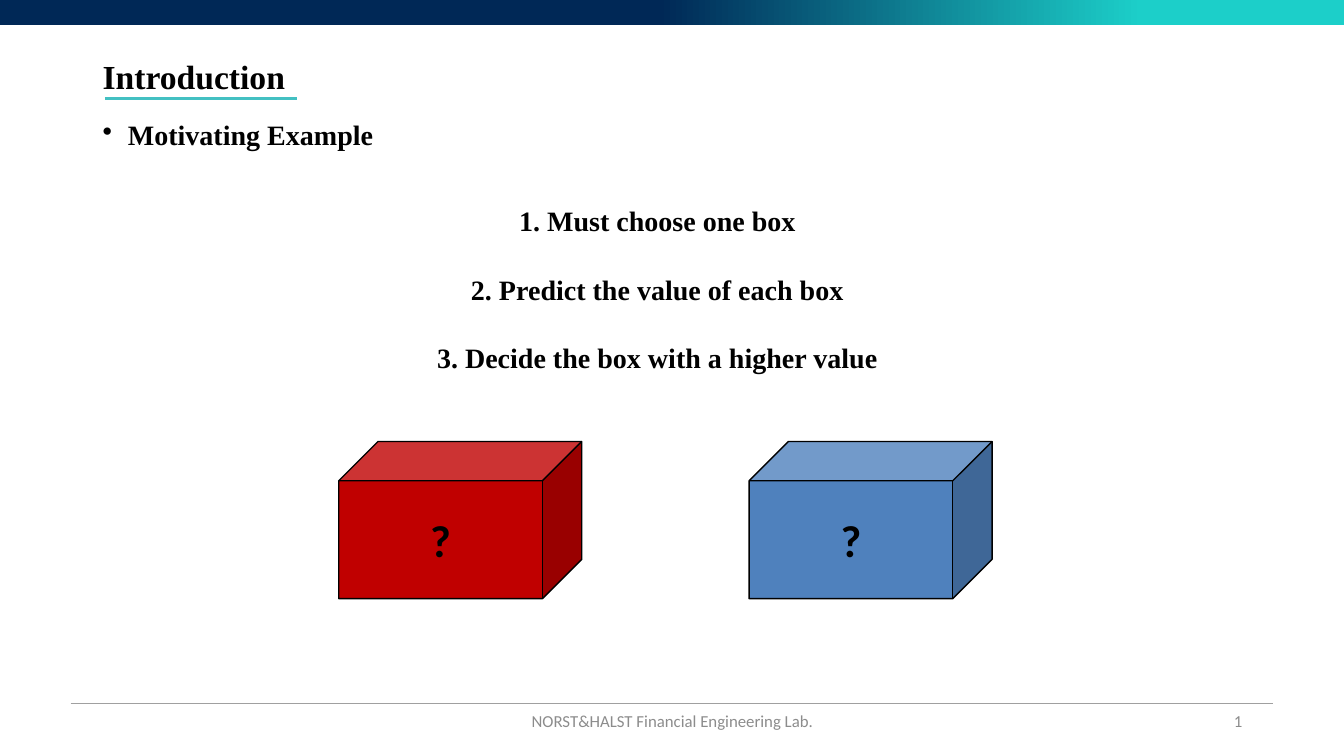
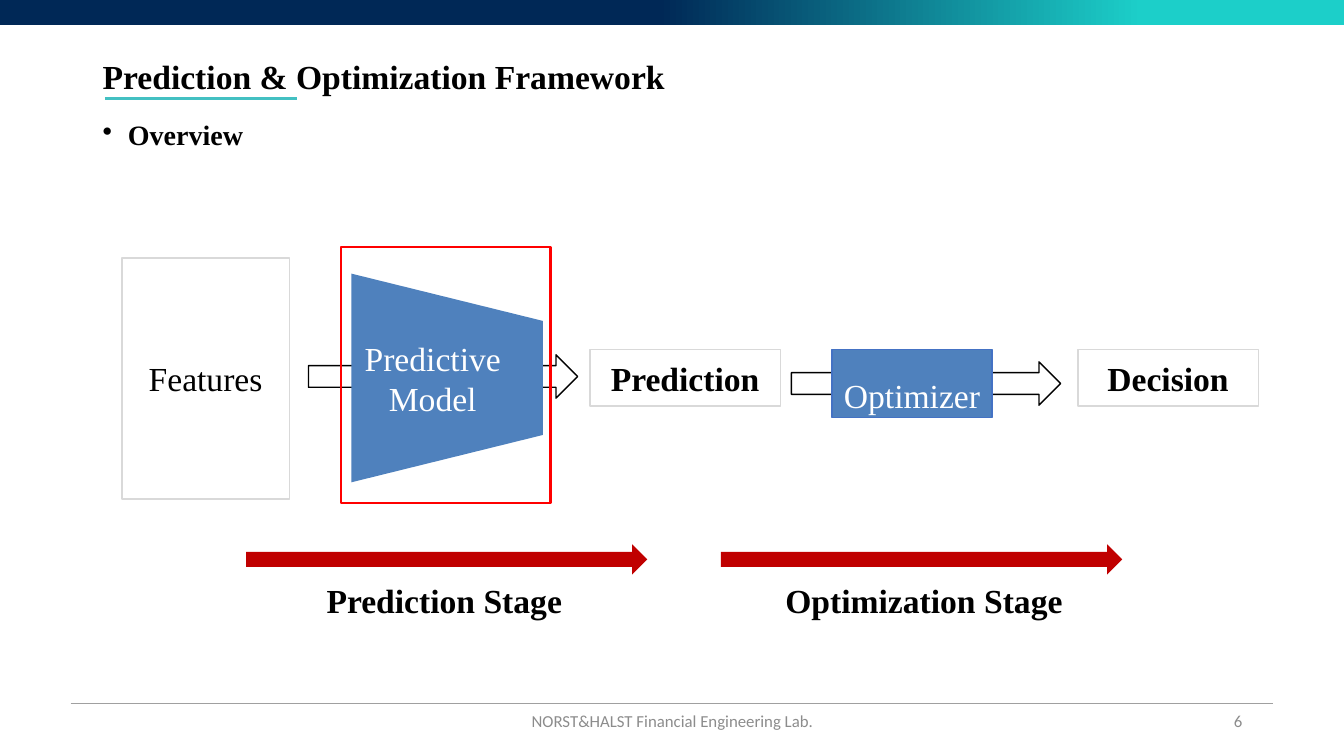
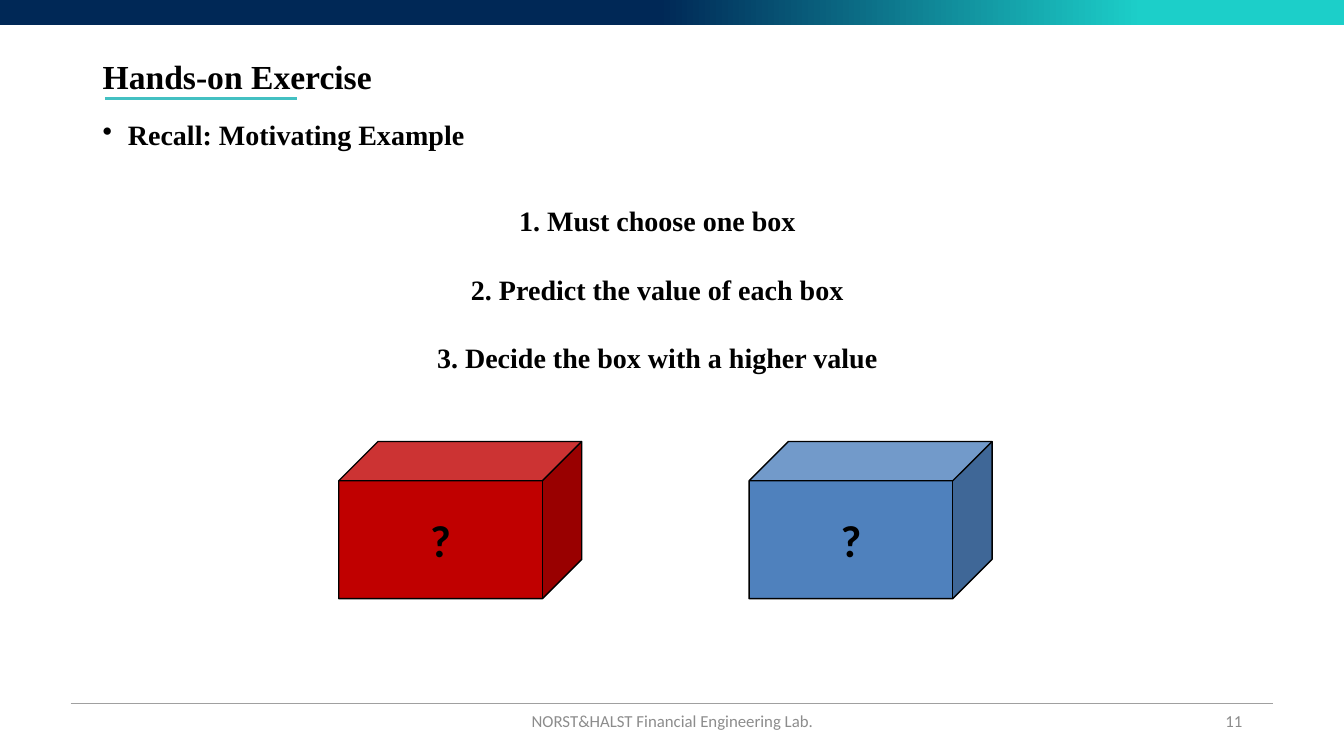
from dataclasses import dataclass

from lxml import etree
from pptx import Presentation
from pptx.dml.color import RGBColor
from pptx.enum.shapes import MSO_CONNECTOR, MSO_SHAPE
from pptx.enum.text import MSO_ANCHOR, PP_ALIGN
from pptx.oxml.ns import qn
from pptx.util import Inches, Pt

RECT, CUBE = MSO_SHAPE.RECTANGLE, MSO_SHAPE.CUBE
ARROW, TRAPEZOID = MSO_SHAPE.RIGHT_ARROW, MSO_SHAPE.TRAPEZOID
STRAIGHT = MSO_CONNECTOR.STRAIGHT
LEFT, CENTER, RIGHT = PP_ALIGN.LEFT, PP_ALIGN.CENTER, PP_ALIGN.RIGHT
TOP, MIDDLE = MSO_ANCHOR.TOP, MSO_ANCHOR.MIDDLE


@dataclass(frozen=True)
class Theme:
    navy: str = "002856"
    aqua: str = "1CCFC9"
    teal: str = "43C0C2"
    rule: str = "A0A0A0"
    footer: str = "8C8C8C"
    black: str = "000000"
    white: str = "FFFFFF"
    crimson: str = "C00000"
    blue: str = "4F81BD"
    blue_edge: str = "4472C4"
    pale_gray: str = "D9D9D9"
    highlight: str = "FF0000"
    serif: str = "Times New Roman"
    sans: str = "Calibri"
    title_size: int = 24
    body_size: int = 20
    footer_size: int = 12
    mark_size: int = 32


THEME = Theme()


def add_block(slide, kind, box, fill=None, line=None, width=1):
    """Add a preset shape; without a colour, its fill or line is left off."""
    block = slide.shapes.add_shape(kind, *map(Inches, box))
    block.shadow.inherit = False
    if fill:
        block.fill.solid()
        block.fill.fore_color.rgb = RGBColor.from_string(fill)
    else:
        block.fill.background()
    if line:
        block.line.color.rgb = RGBColor.from_string(line)
        block.line.width = Pt(width)
    else:
        block.line.fill.background()
    return block


def write(shape, text, size, color=THEME.black, bold=False, font=THEME.serif,
          align=CENTER, anchor=MIDDLE):
    """Set the text of a shape, one paragraph a line, and return the paragraphs."""
    frame = shape.text_frame
    frame.word_wrap = True
    frame.vertical_anchor = anchor
    frame.text = text
    for paragraph in frame.paragraphs:
        paragraph.alignment = align
        paragraph.font.name = font
        paragraph.font.size = Pt(size)
        paragraph.font.bold = bold
        paragraph.font.color.rgb = RGBColor.from_string(color)
    return frame.paragraphs


prs = Presentation()
prs.slide_width, prs.slide_height = Inches(13.33), Inches(7.5)
blank = prs.slide_layouts[6]

# Band, title, topic and footer of every slide
HEADINGS = [
    ("Introduction", "Motivating Example", "1"),
    ("Prediction & Optimization Framework", "Overview", "6"),
    ("Hands-on Exercise", "Recall: Motivating Example", "11"),
]
RULES = [  # left, right, y, colour, points
    (0.7, 12.63, 6.98, THEME.rule, 0.5),
    (1.04, 2.95, 0.98, THEME.teal, 2.25),
]
for title, topic, number in HEADINGS:
    slide = prs.slides.add_slide(blank)

    band = add_block(slide, RECT, (0, 0, 13.33, 0.25))
    band.fill.gradient()
    band.fill.gradient_angle = 0
    for stop, color, position in zip(band.fill.gradient_stops,
                                     (THEME.navy, THEME.aqua), (0.49, 0.85)):
        stop.color.rgb = RGBColor.from_string(color)
        stop.position = position

    for left, right, y, color, points in RULES:
        rule = slide.shapes.add_connector(
            STRAIGHT, Inches(left), Inches(y), Inches(right), Inches(y))
        rule.line.color.rgb = RGBColor.from_string(color)
        rule.line.width = Pt(points)
        etree.SubElement(rule.element.spPr, qn("a:effectLst"))

    heading = slide.shapes.add_textbox(
        Inches(0.92), Inches(0.55), Inches(6.1), Inches(0.46))
    write(heading, title, THEME.title_size, bold=True, align=LEFT)[0].line_spacing = 0.9

    topic_box = slide.shapes.add_textbox(
        Inches(0.92), Inches(1.15), Inches(11.5), Inches(0.92))
    bullet = write(topic_box, topic, THEME.body_size, bold=True,
                   align=LEFT, anchor=TOP)[0]
    bullet.line_spacing = 0.9
    bullet_format = bullet._p.get_or_add_pPr()
    bullet_format.set("marL", str(Inches(0.25)))
    bullet_format.set("indent", str(Inches(-0.25)))
    mark = etree.Element(qn("a:buChar"), char="•")
    bullet_format.find(qn("a:lnSpc")).addnext(mark)

    for left, width, text, align in [
        (4.42, 4.5, "NORST&HALST Financial Engineering Lab.", CENTER),
        (9.42, 3, number, RIGHT),
    ]:
        footer = slide.shapes.add_textbox(
            Inches(left), Inches(6.95), Inches(width), Inches(0.4))
        write(footer, text, THEME.footer_size, THEME.footer,
              font=THEME.sans, align=align)

introduction, framework, exercise = prs.slides

# Introduction and exercise: three steps above two boxes
STEPS = ["1. Must choose one box", "2. Predict the value of each box",
         "3. Decide the box with a higher value"]
for slide in (introduction, exercise):
    steps_box = slide.shapes.add_textbox(
        Inches(3.36), Inches(1.97), Inches(6.32), Inches(1.78))
    steps = write(steps_box, "\n".join(STEPS), THEME.body_size, bold=True, anchor=TOP)
    for step in steps[1:]:
        step.space_before = Pt(25)
    for left, color in [(3.36, THEME.crimson), (7.43, THEME.blue)]:
        mystery_box = add_block(slide, CUBE, (left, 4.38, 2.41, 1.56), color, THEME.black)
        write(mystery_box, "?", THEME.mark_size, bold=True, font=THEME.sans)

# Framework: predictive model on its flow arrow
add_block(framework, ARROW, (3.06, 3.52, 2.67, 0.43), line=THEME.black)
model = add_block(framework, TRAPEZOID, (3.4, 2.8, 2.07, 1.9), THEME.blue)
model.rotation = 90
model.adjustments[0] = 0.247
write(model, "Predictive Model", THEME.title_size, THEME.white)
model.element.txBody.bodyPr.set("vert", "vert270")

# Framework: data at each end of the flow
for text, box, bold in [
    ("Features", (1.21, 2.56, 1.66, 2.39), False),
    ("Prediction", (5.85, 3.47, 1.89, 0.56), True),
    ("Decision", (10.69, 3.47, 1.79, 0.56), True),
]:
    data = add_block(framework, RECT, box, line=THEME.pale_gray)
    write(data, text, THEME.title_size, bold=bold)

# Framework: stages
for text, arrow_left, label_left, label_width in [
    ("Prediction Stage", 2.44, 3.14, 2.55),
    ("Optimization Stage", 7.15, 7.69, 2.99),
]:
    add_block(framework, ARROW, (arrow_left, 5.4, 3.98, 0.3), THEME.crimson)
    label = framework.shapes.add_textbox(
        Inches(label_left), Inches(5.7), Inches(label_width), Inches(0.5))
    write(label, text, THEME.title_size, bold=True, align=LEFT, anchor=TOP)

# Framework: highlight around the model, then the optimizer on its flow arrow
add_block(framework, RECT, (3.38, 2.45, 2.08, 2.54), line=THEME.highlight, width=1.5)
add_block(framework, ARROW, (7.85, 3.59, 2.67, 0.43), line=THEME.black)
optimizer = add_block(framework, RECT, (8.25, 3.47, 1.59, 0.67),
                      THEME.blue, THEME.blue_edge)
write(optimizer, "Optimizer", THEME.title_size, THEME.white, anchor=TOP)[0].line_spacing = 1.5

prs.save("out.pptx")
